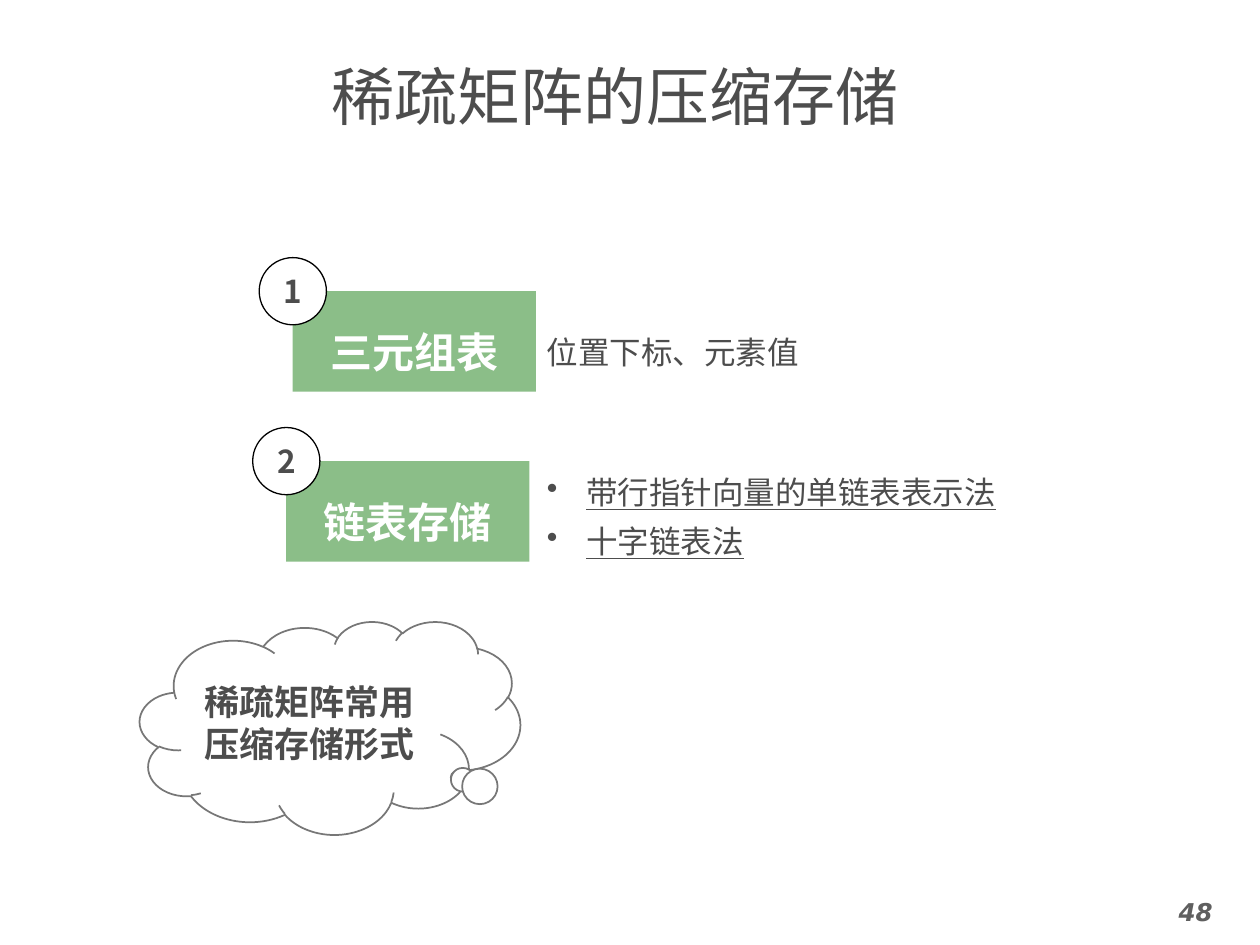
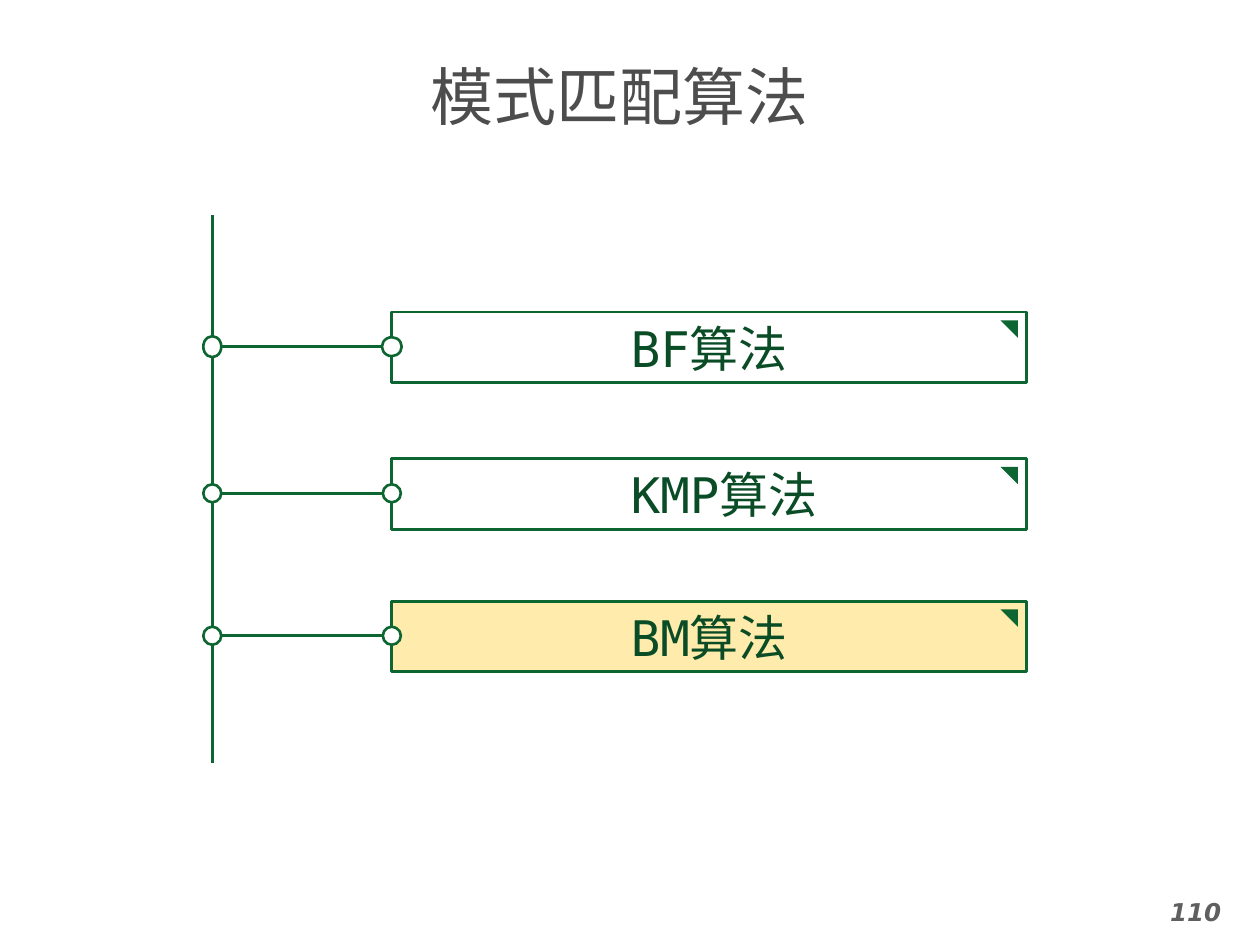
from dataclasses import dataclass

from lxml import etree
from pptx import Presentation
from pptx.dml.color import RGBColor
from pptx.enum.shapes import MSO_CONNECTOR, MSO_SHAPE
from pptx.enum.text import MSO_ANCHOR, PP_ALIGN
from pptx.oxml.ns import qn
from pptx.util import Pt

LEFT, CENTER = PP_ALIGN.LEFT, PP_ALIGN.CENTER
TOP, MIDDLE = MSO_ANCHOR.TOP, MSO_ANCHOR.MIDDLE
RECT, OVAL = MSO_SHAPE.RECTANGLE, MSO_SHAPE.OVAL
CLOUD, CORNER = MSO_SHAPE.CLOUD_CALLOUT, MSO_SHAPE.RIGHT_TRIANGLE
STRAIGHT = MSO_CONNECTOR.STRAIGHT
DEFAULT_INSETS = (7.2, 3.6, 7.2, 3.6)
NO_INSETS = (0, 0, 0, 0)


@dataclass(frozen=True)
class Style:
    """Typeface, size and colour of a run."""
    font: str
    size: float
    color: str
    bold: bool = False
    italic: bool = False
    underline: bool = False


@dataclass(frozen=True)
class Theme:
    """Colours and text styles shared by the slides."""
    white: str = "FFFFFF"
    black: str = "000000"
    label_fill: str = "8BBE88"
    cloud_line: str = "777777"
    branch: str = "0D6531"
    highlight: str = "FFEBAB"
    east_asian: str = "Noto Sans CJK SC"
    title: Style = Style("DejaVu Sans Mono", 36, "4D4D4D")
    page: Style = Style("DejaVu Sans", 14, "5F5F5F", bold=True, italic=True)
    cloud: Style = Style("Courier New", 20, "4D4D4D", bold=True)
    note: Style = Style("DejaVu Sans Mono", 18, "4D4D4D")
    linked: Style = Style("DejaVu Sans Mono", 18, "4D4D4D", underline=True)
    label: Style = Style("DejaVu Sans Mono", 24, "FFFFFF", bold=True)
    number: Style = Style("Noto Sans CJK SC", 18, "4D4D4D", bold=True)
    algorithm: Style = Style("DejaVu Sans Mono", 28, "0A4C25")


THEME = Theme()


def add_run(p, text, style):
    """Add one styled run to a paragraph."""
    r = p.add_run()
    r.text = text
    font = r.font
    font.name, font.size = style.font, Pt(style.size)
    font.color.rgb = RGBColor.from_string(style.color)
    font.bold, font.italic = style.bold, style.italic
    font.underline = style.underline
    ea = etree.Element(qn("a:ea"), typeface=THEME.east_asian)
    r._r.get_or_add_rPr().find(qn("a:latin")).addnext(ea)


def add_bullet(p, indent):
    """Give a paragraph a round bullet with a hanging indent."""
    pPr = p._p.get_or_add_pPr()
    pPr.set("marL", str(Pt(indent)))
    pPr.set("indent", str(-Pt(indent)))
    etree.SubElement(pPr, qn("a:buChar"), char="•")


def write(shape, lines, style, align=CENTER, anchor=MIDDLE, insets=DEFAULT_INSETS,
          wrap=True, spacing=None, bullet_indent=None):
    """Fill a shape with one paragraph per line."""
    tf = shape.text_frame
    tf.word_wrap, tf.vertical_anchor = wrap, anchor
    tf.margin_left, tf.margin_top, tf.margin_right, tf.margin_bottom = map(Pt, insets)
    for i, line in enumerate(lines):
        p = tf.add_paragraph() if i else tf.paragraphs[0]
        p.alignment = align
        if spacing:
            p.line_spacing = spacing
        if bullet_indent:
            add_bullet(p, bullet_indent)
        add_run(p, line, style)


def add_text(s, box, lines, style, **layout):
    """Add a text box."""
    write(s.shapes.add_textbox(*map(Pt, box)), lines, style, **layout)


def add_block(s, kind, box, fill, line=None, width=1.5):
    """Add a flat preset shape with an optional outline."""
    sp = s.shapes.add_shape(kind, *map(Pt, box))
    sp.shadow.inherit = False
    sp.fill.solid()
    sp.fill.fore_color.rgb = RGBColor.from_string(fill)
    if line:
        sp.line.color.rgb = RGBColor.from_string(line)
        sp.line.width = Pt(width)
    else:
        sp.line.fill.background()
    return sp


def add_line(s, x1, y1, x2, y2):
    """Add a straight branch line."""
    cn = s.shapes.add_connector(STRAIGHT, Pt(x1), Pt(y1), Pt(x2), Pt(y2))
    cn.line.color.rgb = RGBColor.from_string(THEME.branch)
    cn.line.width = Pt(1.5)
    etree.SubElement(cn._element.spPr, qn("a:effectLst"))


def add_node(s, x, y, width, height):
    """Add a ring centred on a point of the tree."""
    box = (x - width / 2, y - height / 2, width, height)
    add_block(s, OVAL, box, THEME.white, THEME.branch)


def add_slide(prs, title, title_box, page):
    """Add a slide with its title and page number."""
    s = prs.slides.add_slide(prs.slide_layouts[6])
    add_text(s, title_box, [title], THEME.title)
    add_text(s, (646.5, 509, 73.5, 31), [page], THEME.page, anchor=TOP)
    return s


def add_numbered_label(s, number, text, left, top):
    """Add a label with a numbered disc centred on its corner."""
    disc = 38.4
    label = add_block(s, RECT, (left, top, 139, 57.4), THEME.label_fill)
    write(label, [text], THEME.label, anchor=TOP, insets=(0, 20, 0, 0))
    box = (left - disc / 2, top - disc / 2, disc, disc)
    badge = add_block(s, OVAL, box, THEME.white, THEME.black, 0.75)
    write(badge, [number], THEME.number)


def add_branch(s, spine, top, text, fill, shift, nodes):
    """Add an algorithm box joined to the spine."""
    left, mid = 223.9, top + 19.7
    box = add_block(s, RECT, (left, top, 362.9, 40.3), fill, THEME.branch)
    write(box, [text], THEME.algorithm, insets=(shift, 0, 0, 0))
    corner = add_block(s, CORNER, (571.7, top + 4.6, 10, 10), THEME.branch)
    corner.rotation = 180
    add_line(s, left, mid, spine, mid)
    for x, size in zip((spine - 0.3, left), nodes):
        add_node(s, x, mid, *size)


def build_storage(prs):
    """Build the slide on sparse matrix storage."""
    s = add_slide(prs, "稀疏矩阵的压缩存储", (93.6, 28.8, 516.2, 51.1), "48")
    cloud = add_block(s, CLOUD, (79.9, 355, 217.4, 121.7), THEME.white, THEME.cloud_line, 1)
    cloud.adjustments[0], cloud.adjustments[1] = 0.333, 0.233
    write(cloud, ["稀疏矩阵常用", "压缩存储形式"], THEME.cloud, align=LEFT, wrap=False)
    note = dict(align=LEFT, insets=NO_INSETS, spacing=1.3)
    add_text(s, (312.5, 175.7, 171.4, 43.9), ["位置下标、元素值"], THEME.note, **note)
    add_text(s, (312.5, 270, 283.7, 43.9), ["带行指针向量的单链表表示法", "十字链表法"],
             THEME.linked, bullet_indent=22.5, **note)
    add_numbered_label(s, "1", "三元组表", 167.3, 166.4)
    add_numbered_label(s, "2", "链表存储", 163.6, 263.5)


def build_matching(prs):
    """Build the slide on pattern matching algorithms."""
    s = add_slide(prs, "模式匹配算法", (41.8, 29.5, 624.2, 50.4), "110")
    spine = 121.6
    add_line(s, spine, 122.6, spine, 436)
    ring = (10.3, 10.3)
    branches = [
        (178.4, "BF算法", THEME.white, 0, [(10.3, 12), (11.3, 10.8)]),
        (262.2, "KMP算法", THEME.white, 16.8, [ring, ring]),
        (343.6, "BM算法", THEME.highlight, 0, [ring, ring]),
    ]
    for branch in branches:
        add_branch(s, spine, *branch)


def main():
    """Build and save the presentation."""
    prs = Presentation()
    prs.slide_width, prs.slide_height = Pt(720), Pt(540)
    build_storage(prs)
    build_matching(prs)
    prs.save("out.pptx")


if __name__ == "__main__":
    main()
